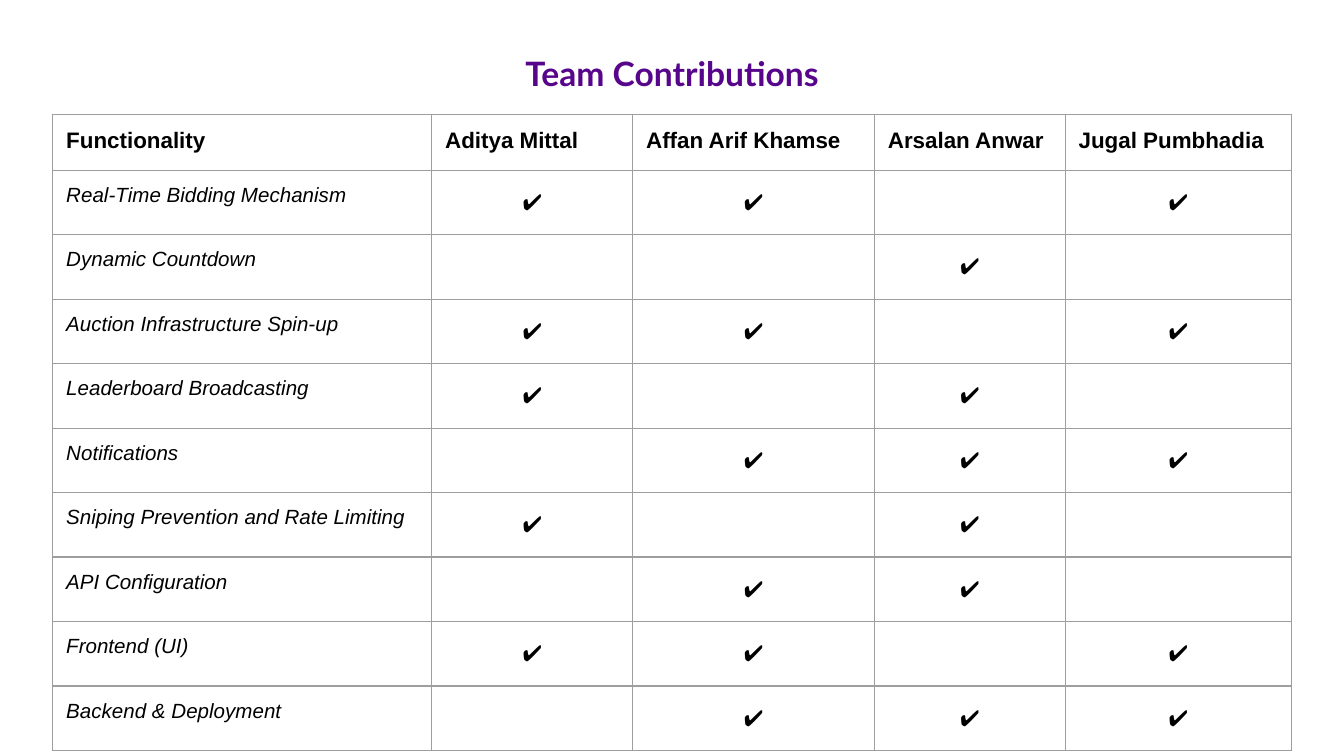
"""Build the Team Contributions slide with its responsibility table."""
from lxml.etree import SubElement
from pptx import Presentation
from pptx.dml.color import RGBColor
from pptx.enum.text import MSO_ANCHOR as Anchor, PP_ALIGN as Align
from pptx.oxml.ns import qn
from pptx.util import Pt

PURPLE = RGBColor(0x57, 0x06, 0x8C)
BLACK = RGBColor(0, 0, 0)
GRAY = RGBColor(0x9E, 0x9E, 0x9E)
LEFT = Pt(28.3)
INSET = Pt(7.2)
HEADER_HEIGHT = Pt(30)
BODY_HEIGHT = Pt(34.55)
COLUMN_WIDTHS = [203, 107.7, 129.5, 102.2, 121.3]
HEADINGS = ["Functionality", "Aditya Mittal", "Affan Arif Khamse", "Arsalan Anwar", "Jugal Pumbhadia"]
CONTRIBUTIONS = [
    ("Real-Time Bidding Mechanism", (1, 2, 4)),
    ("Dynamic Countdown", (3,)),
    ("Auction Infrastructure Spin-up", (1, 2, 4)),
    ("Leaderboard Broadcasting", (1, 3)),
    ("Notifications", (2, 3, 4)),
    ("Sniping Prevention and Rate Limiting", (1, 3)),
    ("API Configuration", (2, 3)),
    ("Frontend (UI)", (1, 2, 4)),
    ("Backend & Deployment", (2, 3, 4)),
]


def add_run(paragraph, text, size, color=BLACK, name="Arial", bold=False, italic=False):
    """Append one formatted run."""
    run = paragraph.add_run()
    run.text = text
    font = run.font
    font.size, font.name, font.bold, font.italic = Pt(size), name, bold, italic
    font.color.rgb = color


def add_borders(cell):
    """Draw a thin gray line on all four sides of a cell."""
    properties = cell._tc.get_or_add_tcPr()
    for side in ("a:lnL", "a:lnR", "a:lnT", "a:lnB"):
        line = SubElement(properties, qn(side), w=str(Pt(0.75)))
        fill = SubElement(line, qn("a:solidFill"))
        SubElement(fill, qn("a:srgbClr"), val=str(GRAY))


presentation = Presentation()
presentation.slide_width, presentation.slide_height = Pt(720), Pt(405)
slide = presentation.slides.add_slide(presentation.slide_layouts[5])

title = slide.shapes.title
title.left, title.top, title.width, title.height = LEFT, Pt(21), Pt(663.5), Pt(30)
frame = title.text_frame
frame.margin_left = frame.margin_right = frame.margin_top = frame.margin_bottom = INSET
frame.vertical_anchor = Anchor.TOP
frame.word_wrap = True
paragraph = frame.paragraphs[0]
paragraph.alignment = Align.CENTER
add_run(paragraph, "Team Contributions", 18, PURPLE, "Lato", bold=True)

row_count = len(CONTRIBUTIONS) + 1
table_height = HEADER_HEIGHT + BODY_HEIGHT * len(CONTRIBUTIONS)
table = slide.shapes.add_table(
    row_count, len(HEADINGS), LEFT, Pt(61.3), Pt(sum(COLUMN_WIDTHS)), table_height
).table
table.first_row = table.horz_banding = False
for column, width in zip(table.columns, COLUMN_WIDTHS):
    column.width = Pt(width)

for row_index in range(row_count):
    table.rows[row_index].height = BODY_HEIGHT if row_index else HEADER_HEIGHT
    for column_index, heading in enumerate(HEADINGS):
        cell = table.cell(row_index, column_index)
        cell.margin_left = cell.margin_right = cell.margin_top = cell.margin_bottom = INSET
        add_borders(cell)
        cell.fill.background()
        paragraph = cell.text_frame.paragraphs[0]
        if row_index == 0:
            add_run(paragraph, heading, 12, bold=True)
            continue
        functionality, contributors = CONTRIBUTIONS[row_index - 1]
        if column_index == 0:
            add_run(paragraph, functionality, 11, italic=True)
        elif column_index in contributors:
            cell.vertical_anchor = Anchor.MIDDLE
            paragraph.alignment = Align.CENTER
            add_run(paragraph, "✔", 12)
        else:
            SubElement(paragraph._p, qn("a:endParaRPr"), sz="1200")

presentation.save("out.pptx")
